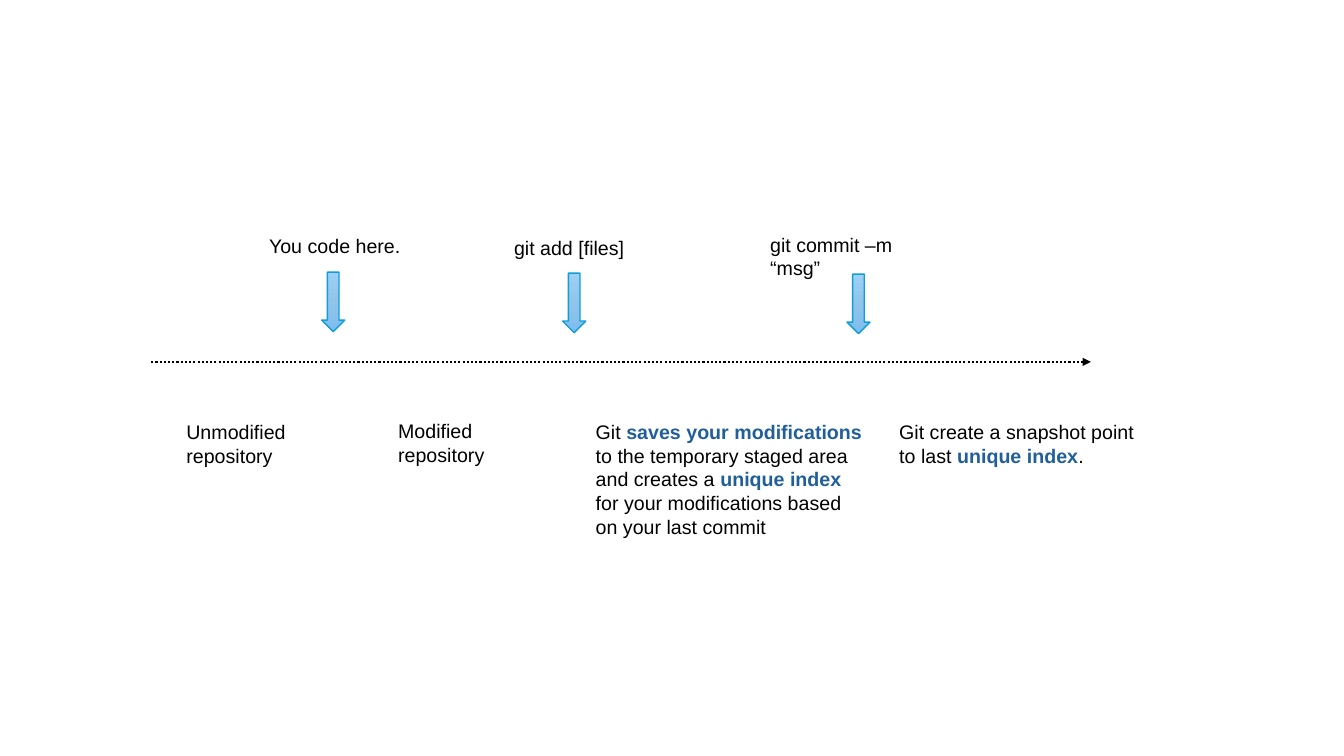
from copy import deepcopy
from dataclasses import dataclass

from lxml.etree import SubElement
from pptx import Presentation
from pptx.dml.color import RGBColor
from pptx.enum.dml import MSO_LINE
from pptx.enum.shapes import MSO_CONNECTOR, MSO_SHAPE
from pptx.enum.text import MSO_AUTO_SIZE
from pptx.oxml.ns import qn
from pptx.util import Inches, Pt


@dataclass(frozen=True)
class Theme:
    font: str = "Arial"
    size: float = 14
    ink: str = "000000"
    accent: str = "215F9A"
    edge: str = "0F9ED5"
    shades: tuple = ("9ECFF5", "90C4EB", "7CBEED")


def assign(target, values):
    for name, value in values.items():
        setattr(target, name, value)


class Board:
    def __init__(self, slide, theme):
        self.shapes = slide.shapes
        self.theme = theme

    def label(self, box, *parts):
        frame = self.shapes.add_textbox(*map(Inches, box)).text_frame
        assign(frame, {"word_wrap": True, "auto_size": MSO_AUTO_SIZE.SHAPE_TO_FIT_TEXT})
        para = frame.paragraphs[0]
        for index, part in enumerate(parts):
            strong = index % 2 == 1
            for row, line in enumerate(part.split("\n")):
                if row:
                    para.add_line_break()
                run = para.add_run()
                run.text = line
                assign(run.font, {"name": self.theme.font, "size": Pt(self.theme.size), "bold": strong})
                color = self.theme.accent if strong else self.theme.ink
                run.font.color.rgb = RGBColor.from_string(color)

    def arrow(self, left, top):
        box = map(Inches, (left, top, 0.23, 0.59))
        shape = self.shapes.add_shape(MSO_SHAPE.DOWN_ARROW, *box)
        shape.shadow.inherit = False
        shape.fill.gradient()
        shape.fill.gradient_angle = 270
        stops = next(shape._element.spPr.iter(qn("a:gsLst")))
        stops.insert(1, deepcopy(stops[0]))
        for index, shade in enumerate(self.theme.shades):
            stop = shape.fill.gradient_stops[index]
            stop.position = index / 2
            stop.color.rgb = RGBColor.from_string(shade)
        shape.line.color.rgb = RGBColor.from_string(self.theme.edge)
        shape.line.width = Pt(1)

    def axis(self, left, right, top):
        ends = map(Inches, (left, top, right, top))
        line = self.shapes.add_connector(MSO_CONNECTOR.STRAIGHT, *ends)
        line.line.color.rgb = RGBColor.from_string(self.theme.ink)
        assign(line.line, {"width": Pt(1.5), "dash_style": MSO_LINE.ROUND_DOT})
        props = line._element.spPr
        SubElement(props.find(qn("a:ln")), qn("a:tailEnd"), type="triangle")
        SubElement(props, qn("a:effectLst"))


def main():
    deck = Presentation()
    assign(deck, {"slide_width": Inches(13.33), "slide_height": Inches(7.5)})
    board = Board(deck.slides.add_slide(deck.slide_layouts[6]), Theme())

    states = [
        ((1.75, 4.12, 1.3, 0.57), "Unmodified\nrepository"),
        ((3.85, 4.11, 1.15, 0.57), "Modified\nrepository"),
        ((5.81, 4.12, 2.89, 1.28), "Git ", "saves your modifications",
         " to the temporary staged area and creates a ", "unique index ",
         "for your modifications based on your last commit"),
        ((8.82, 4.12, 2.58, 0.57), "Git create a snapshot point to last ", "unique index", "."),
    ]
    for box, *parts in states:
        board.label(box, *parts)

    board.axis(1.5, 10.82, 3.59)

    steps = [
        ((2.57, 2.27, 1.7, 0.34), "You code here.", (3.19, 2.7)),
        ((5, 2.29, 1.7, 0.34), "git add [files]", (5.58, 2.71)),
        ((7.54, 2.26, 1.94, 0.34), "git commit –m “msg”", (8.4, 2.72)),
    ]
    for box, text, spot in steps:
        board.arrow(*spot)
        board.label(box, text)

    deck.save("out.pptx")


if __name__ == "__main__":
    main()
